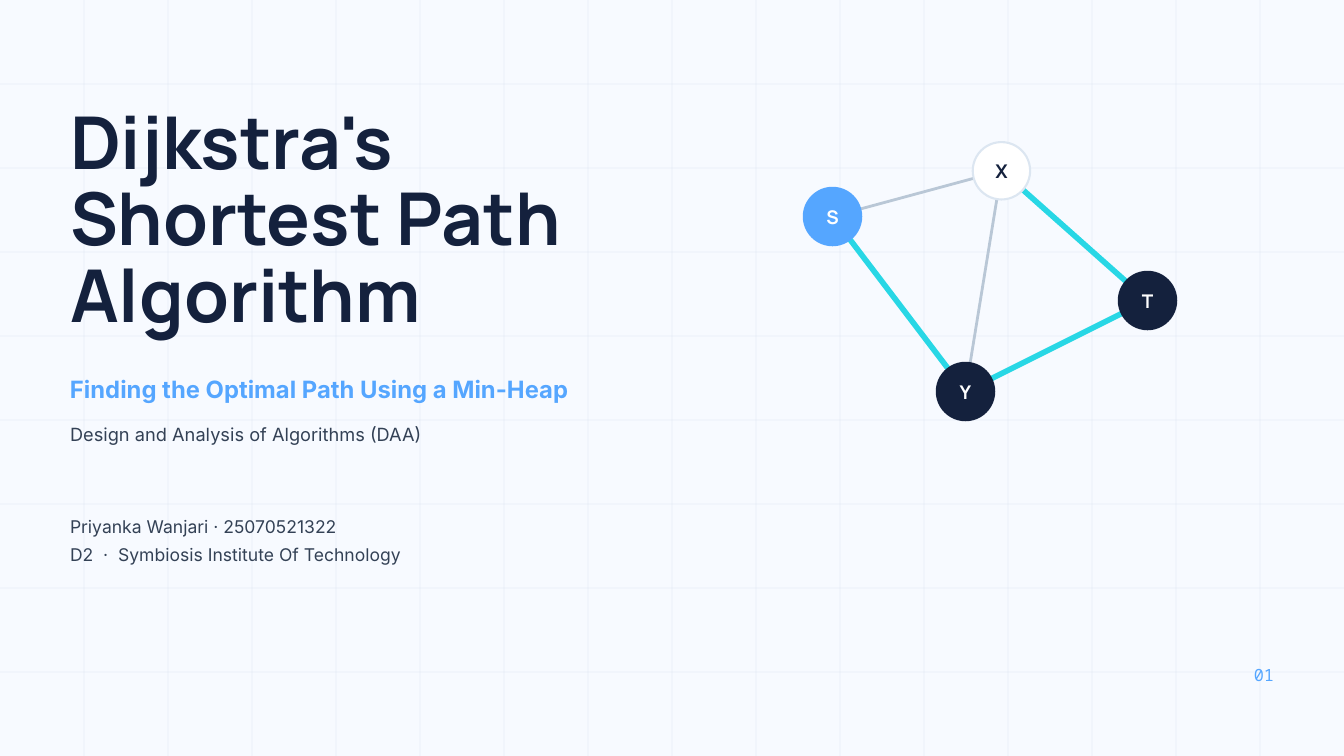
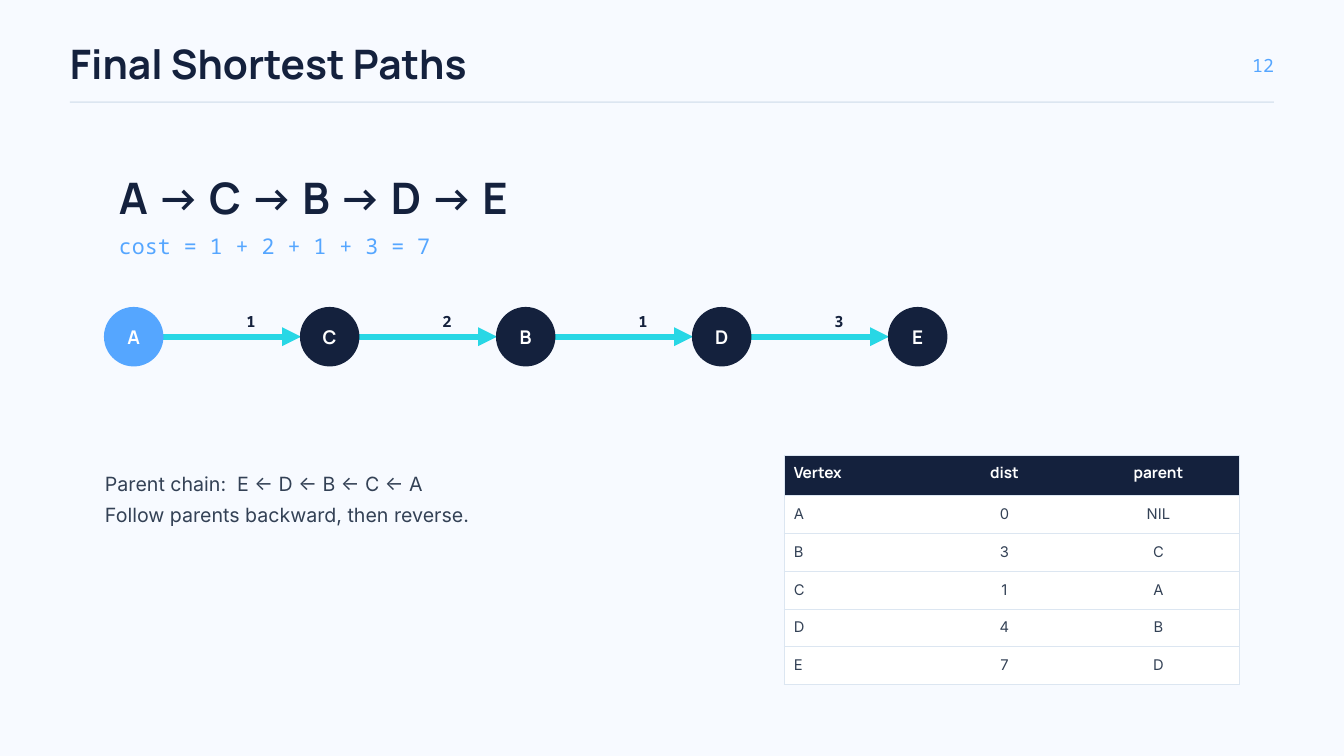
from dataclasses import dataclass
from itertools import pairwise

from pptx import Presentation
from pptx.dml.color import RGBColor
from pptx.enum.shapes import MSO_CONNECTOR as Connector, MSO_SHAPE as Preset
from pptx.enum.text import MSO_ANCHOR as Anchor, PP_ALIGN as Align
from pptx.oxml import parse_xml
from pptx.oxml.ns import nsdecls, qn
from pptx.util import Pt

WIDTH, HEIGHT, GRID_STEP = 1440, 810, 90
MARGIN = 75
NODE_SIZE = 61.5
NAVY, BLUE, CYAN, SLATE = "14213D", "55A6FF", "28D7E5", "334155"
PALE, GREY, WHITE, BACKGROUND = "DCE6F1", "B9C7D6", "FFFFFF", "F7FAFF"
HEADING, BODY, MONO = "Manrope", "Inter", "Noto Sans Mono"


def color(hex_value):
    return RGBColor.from_string(hex_value)


def drawing(tag, attributes="", children=""):
    return parse_xml(f"<a:{tag} {nsdecls('a')} {attributes}>{children}</a:{tag}>")


@dataclass
class Deck:
    """Holds the shared style and the current slide, and draws each kind of element."""

    show: object
    slide: object = None

    def new_slide(self):
        self.slide = self.show.slides.add_slide(self.show.slide_layouts[6])
        self.slide.background.fill.solid()
        self.slide.background.fill.fore_color.rgb = color(BACKGROUND)

    def add_lines(self, frame, lines, size, font, ink, leading, bold=False, align=Align.LEFT):
        for index, line in enumerate(lines):
            paragraph = frame.add_paragraph() if index else frame.paragraphs[0]
            paragraph.alignment = align
            paragraph.line_spacing = Pt(leading)
            run = paragraph.add_run()
            run.text = line
            run.font.size = Pt(size)
            run.font.name = font
            run.font.bold = bold
            run.font.color.rgb = color(ink)

    def clear_insets(self, frame):
        frame.margin_left = frame.margin_right = 0
        frame.margin_top = frame.margin_bottom = 0

    def text(self, left, top, width, height, lines, *style, **options):
        box = self.slide.shapes.add_textbox(Pt(left), Pt(top), Pt(width), Pt(height))
        frame = box.text_frame
        frame.word_wrap = True
        self.clear_insets(frame)
        self.add_lines(frame, lines, *style, **options)

    def page_number(self, number, top, size, leading):
        self.text(1305, top, 60, 26, [number], size, MONO, BLUE, leading, align=Align.RIGHT)

    def line(self, start, end, ink, weight, arrow=False, opacity=None):
        ends = [Pt(value) for value in (*start, *end)]
        connector = self.slide.shapes.add_connector(Connector.STRAIGHT, *ends)
        connector.line.color.rgb = color(ink)
        connector.line.width = Pt(weight)
        properties = connector.element.spPr
        outline = properties.find(qn("a:ln"))
        if arrow:
            outline.append(drawing("tailEnd", 'type="triangle"'))
        if opacity:
            ink_element = next(outline.iter(qn("a:srgbClr")))
            ink_element.append(drawing("alpha", f'val="{opacity * 1000}"'))
        properties.append(drawing("effectLst"))

    def grid(self):
        for x in range(GRID_STEP, WIDTH, GRID_STEP):
            self.line((x, 0), (x, HEIGHT), PALE, 0.75, opacity=60)
        for y in range(GRID_STEP, HEIGHT, GRID_STEP):
            self.line((0, y), (WIDTH, y), PALE, 0.75, opacity=60)

    def preset(self, kind, left, top, width, height, fill):
        shape = self.slide.shapes.add_shape(kind, Pt(left), Pt(top), Pt(width), Pt(height))
        shape.shadow.inherit = False
        shape.fill.solid()
        shape.fill.fore_color.rgb = color(fill)
        return shape

    def rule(self, top):
        bar = self.preset(Preset.RECTANGLE, MARGIN, top, WIDTH - 2 * MARGIN, 1.5, PALE)
        bar.line.fill.background()

    def node(self, label, center, fill=NAVY, outline=None, ink=WHITE):
        x, y = center
        radius = NODE_SIZE / 2
        circle = self.preset(Preset.OVAL, x - radius, y - radius, NODE_SIZE, NODE_SIZE, fill)
        circle.line.color.rgb = color(outline or fill)
        circle.line.width = Pt(2.25)
        frame = circle.text_frame
        self.clear_insets(frame)
        frame.margin_bottom = Pt(3)
        frame.vertical_anchor = Anchor.MIDDLE
        self.add_lines(frame, [label], 20.2, HEADING, ink, 28.4, bold=True, align=Align.CENTER)

    def border(self, cell, visible_sides):
        properties = cell._tc.get_or_add_tcPr()
        for index, side in enumerate("LRTB"):
            paint = "<a:noFill/>"
            if side in visible_sides:
                paint = f'<a:solidFill><a:srgbClr val="{PALE}"/></a:solidFill>'
            properties.insert(index, drawing(f"ln{side}", f'w="{Pt(0.75)}"', paint))

    def table(self, left, top, widths, header_height, row_height, rows):
        heights = [header_height] + [row_height] * (len(rows) - 1)
        table = self.slide.shapes.add_table(
            len(rows), len(widths), Pt(left), Pt(top), Pt(sum(widths)), Pt(sum(heights))
        ).table
        table.first_row = table.horz_banding = False
        for column, width in zip(table.columns, widths):
            column.width = Pt(width)
        for r, values in enumerate(rows):
            table.rows[r].height = Pt(heights[r])
            style = (15.8, BODY, SLATE, 22) if r else (16.5, HEADING, WHITE, 23.1)
            for c, value in enumerate(values):
                cell = table.cell(r, c)
                cell.fill.solid()
                cell.fill.fore_color.rgb = color(WHITE if r else NAVY)
                cell.margin_left = Pt(0 if c else 10.5)
                cell.margin_right = cell.margin_bottom = 0
                cell.margin_top = Pt(7.5)
                align = Align.CENTER if c else Align.LEFT
                self.add_lines(cell.text_frame, [value], *style, bold=r == 0, align=align)
                sides = "TB" + ("L" if c == 0 else "") + ("R" if c == len(widths) - 1 else "")
                self.border(cell, sides)


def build_cover(deck):
    deck.new_slide()
    deck.grid()
    vertices = {"S": (892, 232), "X": (1073, 183), "Y": (1034.5, 419.5), "T": (1229.5, 322)}
    for route, ink, weight in (
        ("SX", GREY, 3), ("XT", CYAN, 6), ("SY", CYAN, 6), ("YT", CYAN, 6), ("XY", GREY, 3)
    ):
        source, target = route
        deck.line(vertices[source], vertices[target], ink, weight, arrow=True)
    looks = {"S": (BLUE,), "X": (WHITE, PALE, NAVY)}
    for label, center in vertices.items():
        deck.node(label, center, *looks.get(label, ()))
    deck.text(MARGIN, 115, 735, 254, ["Dijkstra's", "Shortest Path", "Algorithm"],
              78, HEADING, NAVY, 81.9, bold=True)
    deck.text(MARGIN, 398, 637, 33, ["Finding the Optimal Path Using a Min-Heap"],
              25.5, BODY, BLUE, 34.4, bold=True)
    deck.text(MARGIN, 451, 600, 27, ["Design and Analysis of Algorithms (DAA)"],
              19.5, BODY, SLATE, 26.3)
    deck.text(MARGIN, 545, 525, 58,
              ["Priyanka Wanjari · 25070521322", "D2  ·  Symbiosis Institute Of Technology"],
              18.8, BODY, SLATE, 30)
    deck.page_number("01", 708.5, 18, 25.2)


def build_final_paths(deck):
    deck.new_slide()
    deck.text(MARGIN, 48, 1125, 50, ["Final Shortest Paths"], 43.5, HEADING, NAVY, 45.7, bold=True)
    deck.page_number("12", 54, 19.5, 27.3)
    deck.rule(108.75)

    pitch, chain_y, radius = 210, 360.75, NODE_SIZE / 2
    centers = [143.25 + pitch * step for step in range(5)]
    for (start, end), cost in zip(pairwise(centers), "1213"):
        deck.line((start + radius, chain_y), (end - radius, chain_y), CYAN, 6.75, arrow=True)
        deck.text(start + 104.25, 331.5, 43, 22, [cost], 16.5, MONO, NAVY, 23.1,
                  bold=True, align=Align.CENTER)
    for label, x in zip("ACBDE", centers):
        deck.node(label, (x, chain_y), BLUE if label == "A" else NAVY)

    deck.text(127.5, 190, 1050, 53, ["A → C → B → D → E"], 46.5, HEADING, NAVY, 48.8, bold=True)
    deck.text(127.5, 245.5, 750, 30, ["cost = 1 + 2 + 1 + 3 = 7"], 23.2, MONO, BLUE, 31.4)
    deck.text(112.5, 497, 637, 63,
              ["Parent chain:  E ← D ← B ← C ← A", "Follow parents backward, then reverse."],
              21, BODY, SLATE, 33.6)
    deck.table(840, 487.5, (157.5, 157.5, 172.5), 43.5, 40.5, [
        ("Vertex", "dist", "parent"),
        ("A", "0", "NIL"),
        ("B", "3", "C"),
        ("C", "1", "A"),
        ("D", "4", "B"),
        ("E", "7", "D"),
    ])


def main():
    show = Presentation()
    show.slide_width, show.slide_height = Pt(WIDTH), Pt(HEIGHT)
    deck = Deck(show)
    build_cover(deck)
    build_final_paths(deck)
    show.save("out.pptx")


if __name__ == "__main__":
    main()
